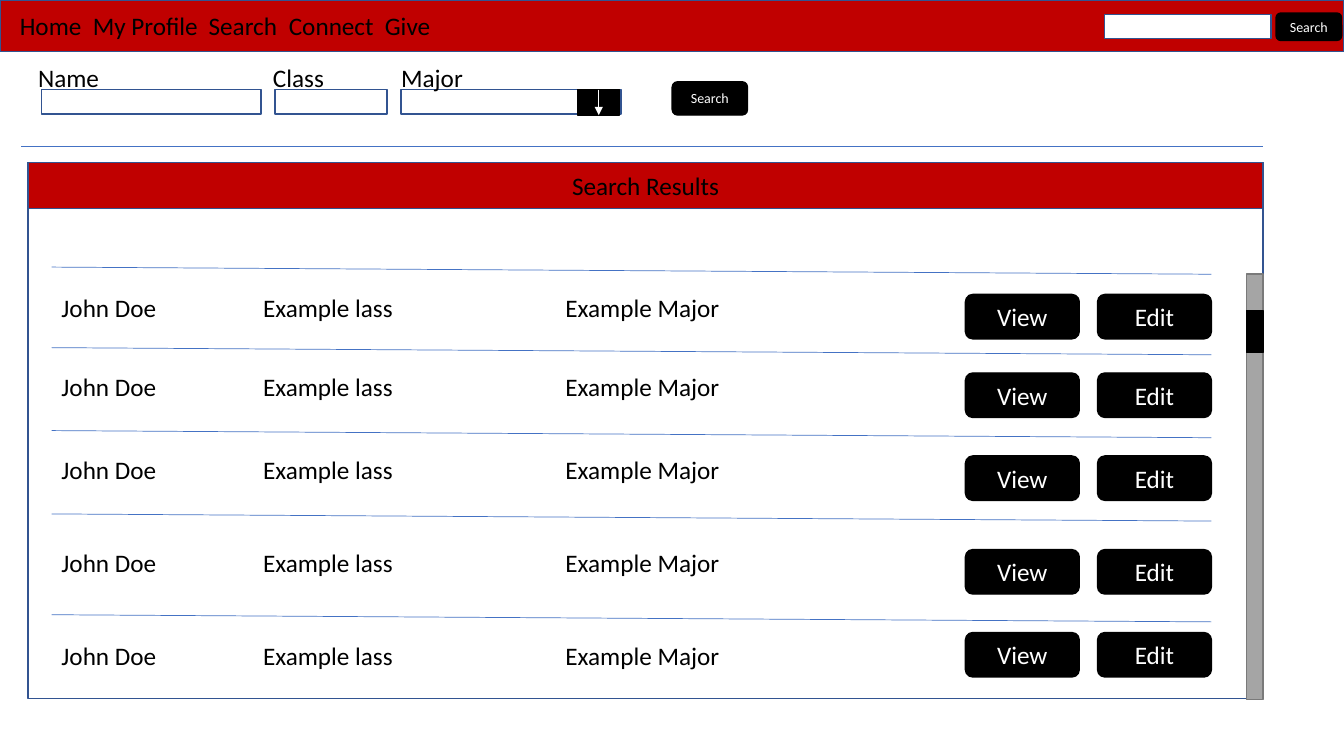
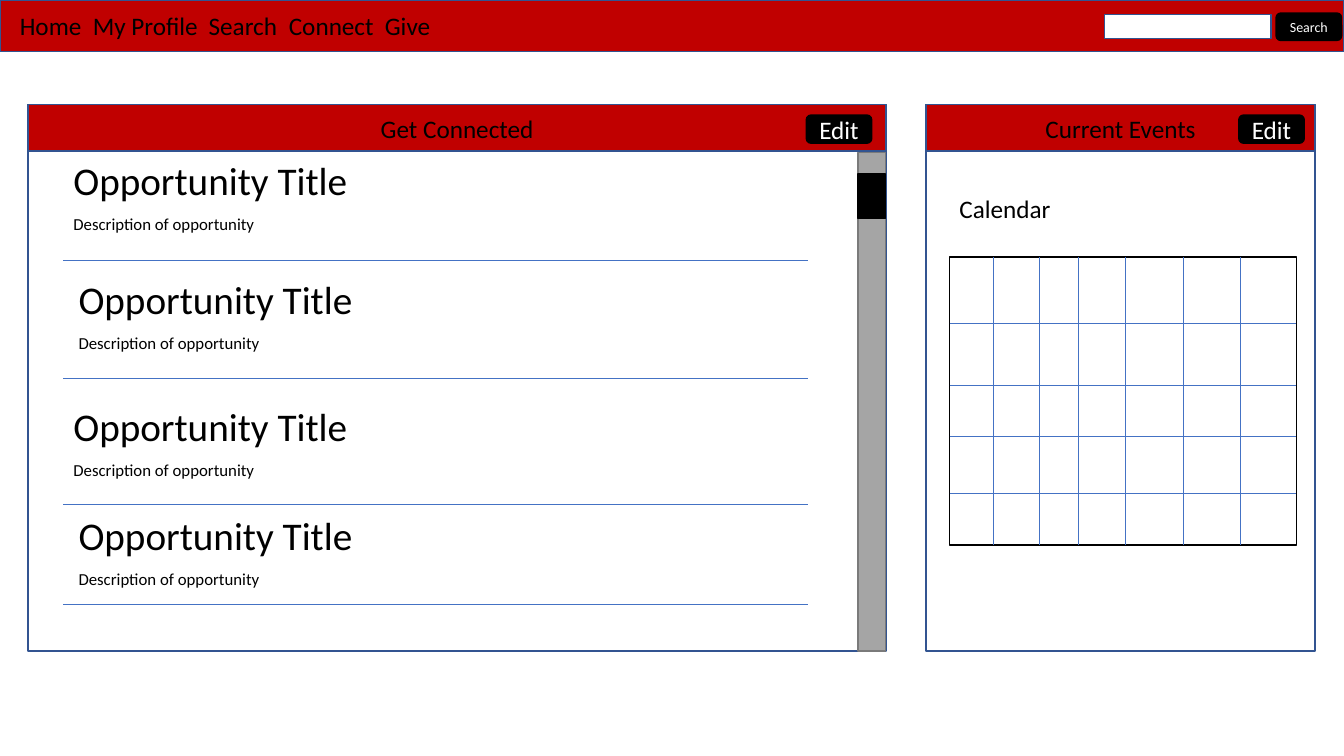
import dataclasses

import lxml.etree
import pptx
import pptx.dml.color
import pptx.enum.shapes
import pptx.enum.text
import pptx.oxml.ns
import pptx.util

Cm = pptx.util.Cm
Pt = pptx.util.Pt
SHAPES = pptx.enum.shapes.MSO_SHAPE
qn = pptx.oxml.ns.qn


@dataclasses.dataclass(frozen=True)
class Theme:
    font: str = "Calibri"
    red: str = "C00000"
    black: str = "000000"
    white: str = "FFFFFF"
    outline: str = "325491"
    rule: str = "4472C4"
    track: str = "A5A5A5"
    track_edge: str = "7A7A7A"
    title: int = 28
    body: int = 18
    description: int = 12
    small: int = 10
    border: float = 1
    hairline: float = 0.5


THEME = Theme()
SLIDE_WIDTH, SLIDE_HEIGHT = 33.87, 19.05
HEADER_HEIGHT = 1.17
LABEL_HEIGHT = 1.02


def rgb(color):
    return pptx.dml.color.RGBColor.from_string(color)


def format_text(text_frame, text, size, color):
    text_frame.text = text
    for paragraph in text_frame.paragraphs:
        for run in paragraph.runs:
            run.font.name = THEME.font
            run.font.size = Pt(size)
            run.font.color.rgb = rgb(color)


def add_box(slide, left, top, width, height, fill=THEME.white, line=THEME.outline,
            preset=SHAPES.RECTANGLE):
    shape = slide.shapes.add_shape(preset, Cm(left), Cm(top), Cm(width), Cm(height))
    shape.shadow.inherit = False
    shape.fill.solid()
    shape.fill.fore_color.rgb = rgb(fill)
    shape.line.color.rgb = rgb(line)
    shape.line.width = Pt(THEME.border)
    return shape


def center_text(shape, text, size, color):
    format_text(shape.text_frame, text, size, color)
    shape.text_frame.vertical_anchor = pptx.enum.text.MSO_ANCHOR.MIDDLE
    shape.text_frame.paragraphs[0].alignment = pptx.enum.text.PP_ALIGN.CENTER


def add_button(slide, text, left, top, width, height, size=THEME.body):
    button = add_box(slide, left, top, width, height, THEME.black, THEME.black,
                     SHAPES.ROUNDED_RECTANGLE)
    center_text(button, text, size, THEME.white)


def add_text(slide, text, left, top, width, height=LABEL_HEIGHT, size=THEME.body, tabs=()):
    text_box = slide.shapes.add_textbox(Cm(left), Cm(top), Cm(width), Cm(height))
    text_box.text_frame.word_wrap = True
    format_text(text_box.text_frame, text, size, THEME.black)
    if tabs:
        properties = text_box.text_frame.paragraphs[0]._p.get_or_add_pPr()
        tab_list = lxml.etree.SubElement(properties, qn("a:tabLst"))
        for position in tabs:
            lxml.etree.SubElement(tab_list, qn("a:tab"), pos=str(Cm(position)), algn="l")


def add_rule(slide, start, end, color=THEME.rule, arrow=False):
    connector = slide.shapes.add_connector(
        pptx.enum.shapes.MSO_CONNECTOR.STRAIGHT,
        Cm(start[0]), Cm(start[1]), Cm(end[0]), Cm(end[1]))
    connector.line.color.rgb = rgb(color)
    connector.line.width = Pt(THEME.hairline)
    if arrow:
        lxml.etree.SubElement(connector.line._get_or_add_ln(), qn("a:tailEnd"), type="triangle")
    lxml.etree.SubElement(connector._element.spPr, qn("a:effectLst"))


def add_panel(slide, title, left, top, width, height):
    add_box(slide, left, top, width, height)
    header = add_box(slide, left, top, width, HEADER_HEIGHT, THEME.red)
    center_text(header, title, THEME.body, THEME.black)


def add_scrollbar(slide, left, top, width, height, thumb_top, thumb_height):
    add_box(slide, left, top, width, height, THEME.track, THEME.track_edge)
    add_box(slide, left, thumb_top, width, thumb_height, THEME.black, THEME.black)


def add_page(presentation):
    slide = presentation.slides.add_slide(presentation.slide_layouts[6])
    add_box(slide, 0, 0, SLIDE_WIDTH, 1.3, THEME.red)
    add_box(slide, 27.84, 0.36, 4.19, 0.61)
    add_text(slide, "Home\tMy Profile\tSearch\tConnect\tGive", 0.25, 0.13, 11.5,
             tabs=(1.84, 4.76, 6.78, 9.2))
    add_button(slide, "Search", 32.16, 0.33, 1.65, 0.69, THEME.small)
    return slide


def add_search_form(slide):
    fields = (("Name", 0.71, 1.04, 5.54), ("Class", 6.63, 6.93, 2.82),
              ("Major", 9.86, 10.11, 5.54))
    for label, label_left, field_left, field_width in fields:
        add_box(slide, field_left, 2.26, field_width, 0.61)
        add_text(slide, label, label_left, 1.45, 2.2)
    add_box(slide, 14.55, 2.26, 1.07, 0.64, THEME.black, THEME.black)
    add_rule(slide, (15.09, 2.26), (15.09, 2.9), THEME.white, arrow=True)
    add_button(slide, "Search", 16.94, 2.06, 1.9, 0.84, THEME.small)
    add_rule(slide, (0.53, 3.68), (31.83, 3.68))


def add_result(slide, rule_top, text_top, button_top):
    add_rule(slide, (1.3, rule_top), (30.53, rule_top + 0.18))
    add_text(slide, "John Doe\tExample lass\tExample Major", 1.3, text_top, 21.62,
             tabs=(5.08, 12.7))
    for text, left in (("View", 24.33), ("Edit", 27.66)):
        add_button(slide, text, left, button_top, 2.87, 1.12)


def add_opportunity(slide, left, top, rule_top):
    title_height = 1.45
    add_text(slide, "Opportunity Title", left, top, 7.59, title_height, THEME.title)
    add_text(slide, "Description of opportunity", left, top + title_height, 18.77, 0.76,
             THEME.description)
    add_rule(slide, (1.6, rule_top), (20.37, rule_top))


def add_calendar(slide, left, top, width, height):
    add_text(slide, "Calendar", left, 4.75, 3.02)
    add_box(slide, left, top, width, height, line=THEME.black)
    for column_left in (25.04, 26.19, 27.18, 28.35, 29.82, 31.27):
        add_rule(slide, (column_left, top), (column_left, top + height))
    for row_top in (8.15, 9.7, 11, 12.42):
        add_rule(slide, (left, row_top), (left + width, row_top))


def build_search_page(presentation):
    slide = add_page(presentation)
    add_search_form(slide)
    add_panel(slide, "Search Results", 0.71, 4.09, 31.12, 13.51)
    for rule_top, text_top, button_top in (
            (6.73, 7.24, 7.42), (8.76, 9.22, 9.4), (10.85, 11.33, 11.49),
            (12.95, 13.67, 13.85), (15.49, 16, 15.94)):
        add_result(slide, rule_top, text_top, button_top)
    add_scrollbar(slide, 31.42, 6.91, 0.41, 10.72, 7.82, 1.07)


def build_connect_page(presentation):
    slide = add_page(presentation)
    for title, left, width, button_left in (
            ("Get Connected", 0.71, 21.62, 20.32), ("Current Events", 23.34, 9.8, 31.22)):
        add_panel(slide, title, left, 2.64, width, 13.77)
        add_button(slide, "Edit", button_left, 2.9, 1.65, 0.71)
    for left, top, rule_top in (
            (1.6, 3.81, 6.55), (1.73, 6.81, 9.53), (1.6, 10.01, 12.7), (1.73, 12.75, 15.24)):
        add_opportunity(slide, left, top, rule_top)
    add_scrollbar(slide, 21.62, 3.84, 0.69, 12.57, 4.39, 1.12)
    add_calendar(slide, 23.93, 6.48, 8.74, 7.26)


def main():
    presentation = pptx.Presentation()
    presentation.slide_width = Cm(SLIDE_WIDTH)
    presentation.slide_height = Cm(SLIDE_HEIGHT)
    build_search_page(presentation)
    build_connect_page(presentation)
    presentation.save("out.pptx")


main()
